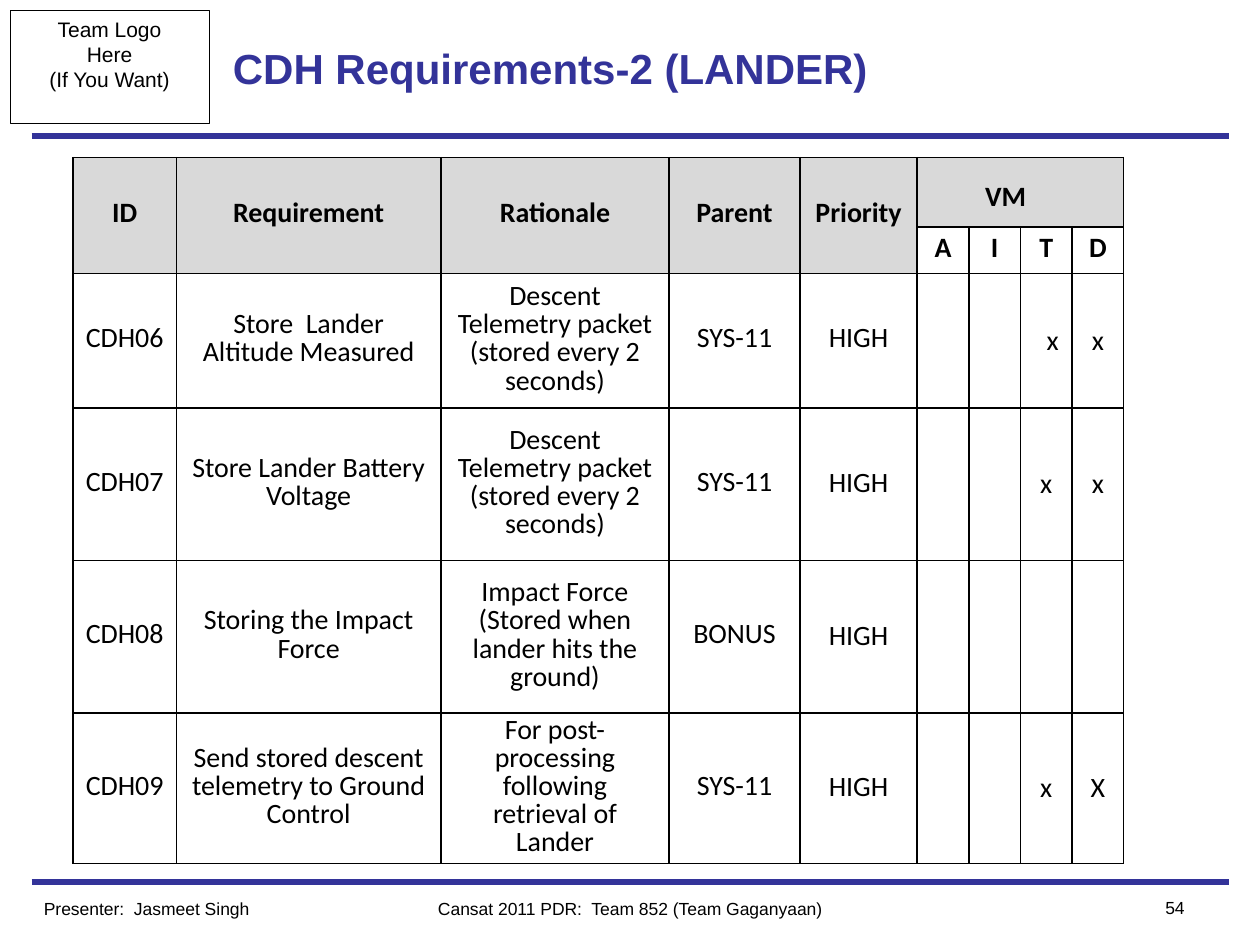
from dataclasses import dataclass

from lxml.etree import SubElement
from pptx import Presentation
from pptx.dml.color import RGBColor
from pptx.enum.shapes import MSO_CONNECTOR, MSO_SHAPE
from pptx.enum.text import MSO_ANCHOR, PP_ALIGN
from pptx.oxml.ns import qn
from pptx.util import Inches, Pt

COLORS = {"ink": "000000", "navy": "333399", "head": "D9D9D9"}
WIDTHS = (0.82, 2.1, 1.81, 1.04, 0.93, 0.41, 0.41, 0.41, 0.41)
HEIGHTS = (0.55, 0.37, 1.07, 1.21, 1.21, 1.17)
HEADS = ("ID", "Requirement", "Rationale", "Parent", "Priority")
METHODS = "AITD"
FIRST = len(HEADS)


@dataclass
class Label:
    text: str
    box: tuple[float, float, float, float]
    align: PP_ALIGN = PP_ALIGN.LEFT
    size: int = 10
    color: str = "ink"
    bold: bool = False
    anchor: MSO_ANCHOR = MSO_ANCHOR.TOP


@dataclass
class Need:
    code: str
    text: str
    reason: str
    parent: str
    marks: tuple[str, str, str, str]
    rank: str = "HIGH"


LABELS = (
    Label("Cansat 2011 PDR:  Team 852 (Team Gaganyaan)", (3, 7.08, 4, 0.27),
          PP_ALIGN.CENTER),
    Label("54", (8.75, 7.07, 0.75, 0.27), PP_ALIGN.RIGHT),
    Label("CDH Requirements-2 (LANDER)", (1.75, 0.08, 6.5, 0.92), size=24,
          color="navy", bold=True, anchor=MSO_ANCHOR.MIDDLE),
    Label("Presenter:  Jasmeet Singh", (0.25, 7.08, 2.5, 0.27)),
)
PACKET = "Descent Telemetry packet (stored every 2 seconds)"
NEEDS = (
    Need("CDH06", "Store  Lander Altitude Measured", PACKET, "SYS-11",
         ("", "", "x", "x")),
    Need("CDH07", "Store Lander Battery Voltage", PACKET, "SYS-11",
         ("", "", "x", "x")),
    Need("CDH08", "Storing the Impact Force",
         "Impact Force (Stored when lander hits the ground)", "BONUS",
         ("", "", "", "")),
    Need("CDH09", "Send stored descent telemetry to Ground Control",
         "For post-processing following retrieval of Lander", "SYS-11",
         ("", "", "x", "X")),
)


def rgb(name: str) -> RGBColor:
    return RGBColor.from_string(COLORS[name])


def style(para, size: int, face: str, color: str = "ink",
          bold: bool = False) -> None:
    font = para.font
    font.size, font.name, font.bold = Pt(size), face, bold
    font.color.rgb = rgb(color)


def add_rule(slide, y: float) -> None:
    rule = slide.shapes.add_connector(
        MSO_CONNECTOR.STRAIGHT, Inches(0.25), Inches(y), Inches(9.75), Inches(y))
    rule.line.color.rgb = rgb("navy")
    rule.line.width = Pt(3)
    SubElement(rule._element.spPr, qn("a:effectLst"))


def add_logo(slide) -> None:
    logo = slide.shapes.add_shape(
        MSO_SHAPE.RECTANGLE, *map(Inches, (0.08, 0.08, 1.58, 0.9)))
    logo.shadow.inherit = False
    logo.fill.background()
    logo.line.color.rgb = rgb("ink")
    logo.line.width = Pt(0.5)
    frame = logo.text_frame
    frame.word_wrap = False
    frame.vertical_anchor = MSO_ANCHOR.TOP
    frame.text = "Team Logo\nHere\n(If You Want)"
    for para in frame.paragraphs:
        para.alignment = PP_ALIGN.CENTER
        style(para, 12, "Arial")


def add_label(slide, label: Label) -> None:
    frame = slide.shapes.add_textbox(*map(Inches, label.box)).text_frame
    frame.word_wrap = True
    frame.vertical_anchor = label.anchor
    frame.text = label.text
    para = frame.paragraphs[0]
    para.alignment = label.align
    style(para, label.size, "Arial", label.color, label.bold)


def frame_cell(cell, shaded: bool) -> None:
    """Draw the four borders, then the fill, which must follow them."""
    props = cell._tc.get_or_add_tcPr()
    for side in ("lnL", "lnR", "lnT", "lnB"):
        edge = SubElement(props, qn(f"a:{side}"), w=str(Pt(1)))
        fill = SubElement(edge, qn("a:solidFill"))
        SubElement(fill, qn("a:srgbClr"), val=COLORS["ink"])
    if shaded:
        cell.fill.solid()
        cell.fill.fore_color.rgb = rgb("head")
    else:
        cell.fill.background()


def write(cell, text: str, bold: bool = False, top: float = 0.03,
          leading: float = 0.82):
    cell.vertical_anchor = MSO_ANCHOR.MIDDLE
    cell.margin_top = Inches(top)
    cell.text = text
    para = cell.text_frame.paragraphs[0]
    para.alignment = PP_ALIGN.CENTER
    para.line_spacing = leading
    style(para, 16, "Calibri", bold=bold)
    return para


def add_grid(slide) -> None:
    table = slide.shapes.add_table(
        len(HEIGHTS), len(WIDTHS), Inches(0.58), Inches(1.25),
        Inches(sum(WIDTHS)), Inches(sum(HEIGHTS))).table
    table.first_row = table.horz_banding = False
    for col, width in zip(table.columns, WIDTHS):
        col.width = Inches(width)
    for r, height in enumerate(HEIGHTS):
        table.rows[r].height = Inches(height)
        for c in range(len(WIDTHS)):
            frame_cell(table.cell(r, c), r == 0 or (r == 1 and c < FIRST))

    for c, head in enumerate(HEADS):
        table.cell(0, c).merge(table.cell(1, c))
        write(table.cell(0, c), head, bold=True)
    group = table.cell(0, FIRST)
    group.merge(table.cell(0, len(WIDTHS) - 1))
    write(group, "VM", bold=True, top=0.13, leading=1).alignment = PP_ALIGN.LEFT
    group.margin_left = Inches(0.54)
    for c, method in enumerate(METHODS, FIRST):
        write(table.cell(1, c), method, bold=True)

    for r, need in enumerate(NEEDS, 2):
        for c, text in enumerate((need.code, need.text, need.reason, need.parent)):
            write(table.cell(r, c), text)
        rank = write(table.cell(r, FIRST - 1), need.rank)
        if r > 2:
            rank.line_spacing, rank.space_after = 0.93, Pt(10)
        for c, mark in enumerate(need.marks, FIRST):
            if mark:
                write(table.cell(r, c), mark, top=0.05, leading=1)
    shifted = table.cell(2, FIRST + METHODS.index("T"))
    shifted.margin_left, shifted.margin_right = Inches(0.18), Inches(0.08)


def main() -> None:
    deck = Presentation()
    deck.slide_width, deck.slide_height = Inches(10), Inches(7.5)
    slide = deck.slides.add_slide(deck.slide_layouts[6])
    for y in (7, 1.08):
        add_rule(slide, y)
    add_logo(slide)
    add_grid(slide)
    for label in LABELS:
        add_label(slide, label)
    deck.save("out.pptx")


if __name__ == "__main__":
    main()
